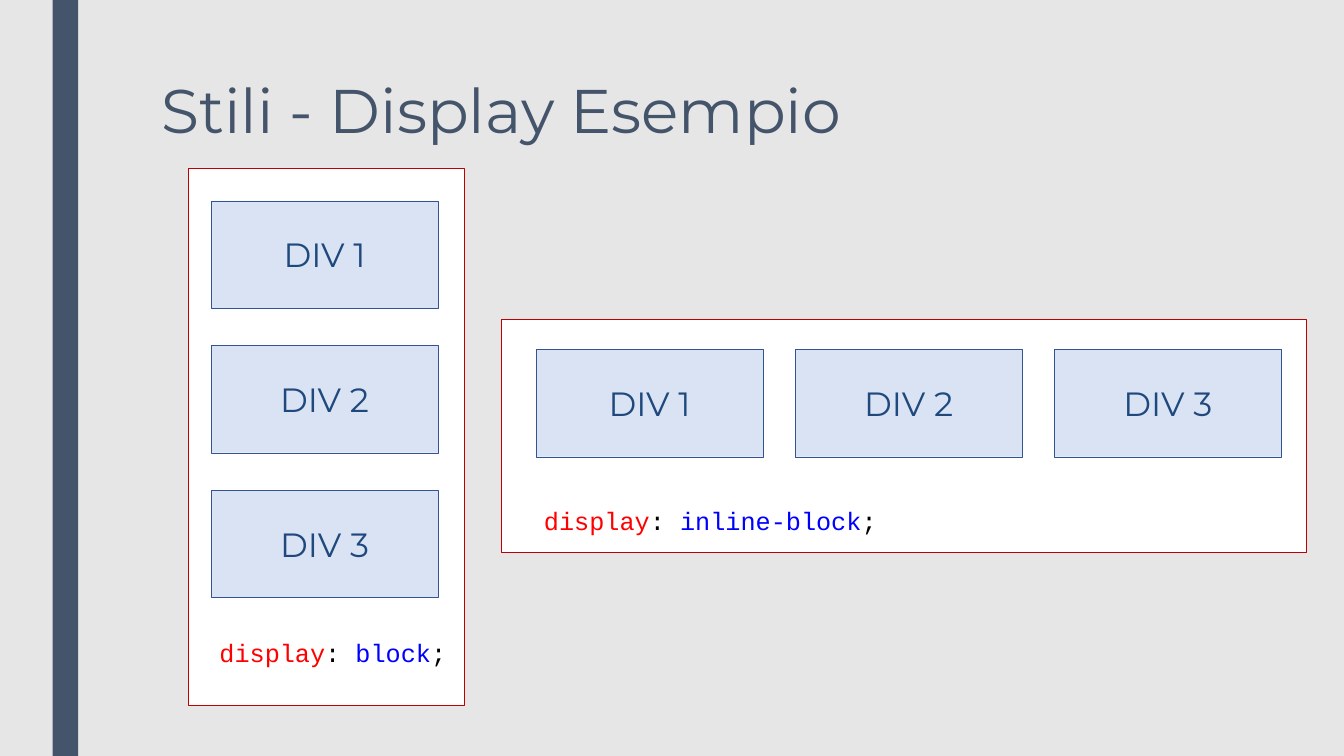
from pptx import Presentation
from pptx.dml.color import RGBColor
from pptx.enum.shapes import MSO_SHAPE as Shape
from pptx.enum.text import MSO_ANCHOR as Anchor, MSO_AUTO_SIZE as AutoSize, PP_ALIGN as Align
from pptx.util import Cm, Pt

COLORS = {
    "background": "E7E6E6",
    "slate": "44546A",
    "panel": "FFFFFF",
    "panel_line": "C00000",
    "div": "DAE3F3",
    "div_line": "325491",
    "div_text": "1F497D",
    "property": "FF0000",
    "value": "0000FF",
    "symbol": "000000",
}
DIV_LABELS = ["DIV 1", "DIV 2", "DIV 3"]
DIV_WIDTH, DIV_HEIGHT = 5.72, 2.7


def color(name):
    return RGBColor.from_string(COLORS[name])


def add_text(para, text, size, tint, font="Montserrat"):
    span = para.add_run()
    span.text = text
    span.font.size = Pt(size)
    span.font.name = font
    span.font.color.rgb = color(tint)


def add_rect(shapes, left, top, width, height, fill, line=None, weight=0.75):
    box = shapes.add_shape(Shape.RECTANGLE, Cm(left), Cm(top), Cm(width), Cm(height))
    box.shadow.inherit = False
    box.fill.solid()
    box.fill.fore_color.rgb = color(fill)
    if line:
        box.line.color.rgb = color(line)
        box.line.width = Pt(weight)
    else:
        box.line.fill.background()
    return box


def add_title(page, left, top, width, height):
    title = page.shapes.title
    title.left, title.top, title.width, title.height = Cm(left), Cm(top), Cm(width), Cm(height)
    frame = title.text_frame
    frame.auto_size = AutoSize.NONE
    frame.vertical_anchor = Anchor.TOP
    para = frame.paragraphs[0]
    para.alignment = Align.LEFT
    para.line_spacing = 0.89
    add_text(para, "Stili - Display Esempio", 44, "slate")


def add_div(shapes, left, top, label):
    box = add_rect(shapes, left, top, DIV_WIDTH, DIV_HEIGHT, "div", "div_line", 0.25)
    box.text_frame.vertical_anchor = Anchor.MIDDLE
    para = box.text_frame.paragraphs[0]
    para.alignment = Align.CENTER
    add_text(para, label, 24, "div_text")


def add_declaration(shapes, left, top, width, value):
    box = shapes.add_textbox(Cm(left), Cm(top), Cm(width), Cm(0.97))
    box.text_frame.word_wrap = False
    para = box.text_frame.paragraphs[0]
    parts = [("display", "property"), (": ", "symbol"), (value, "value"), (";", "symbol")]
    for text, tint in parts:
        add_text(para, text, 18, tint, font="Courier New")


def add_panel(page, left, top, width, height, first, step, code, value):
    shapes = page.shapes.add_group_shape().shapes
    add_rect(shapes, left, top, width, height, "panel", "panel_line")
    for index, label in enumerate(DIV_LABELS):
        add_div(shapes, left + first[0] + index * step[0], top + first[1] + index * step[1], label)
    code_left, code_top, code_width = code
    add_declaration(shapes, left + code_left, top + code_top, code_width, value)


def main():
    deck = Presentation()
    deck.slide_width, deck.slide_height = Cm(33.87), Cm(19.05)
    page = deck.slides.add_slide(deck.slide_layouts[5])
    page.background.fill.solid()
    page.background.fill.fore_color.rgb = color("background")
    add_rect(page.shapes, 1.33, 0, 0.64, 19.05, "slate")
    add_title(page, 3.81, 1.9, 26.67, 4.11)
    add_panel(page, 4.75, 4.24, 6.96, 13.54, first=(0.57, 0.82), step=(0, 3.65),
              code=(0.53, 11.69, 6.38), value="block")
    add_panel(page, 12.65, 8.05, 20.27, 5.87, first=(0.86, 0.76), step=(6.53, 0),
              code=(0.81, 4.57, 8.94), value="inline-block")
    deck.save("out.pptx")


if __name__ == "__main__":
    main()
